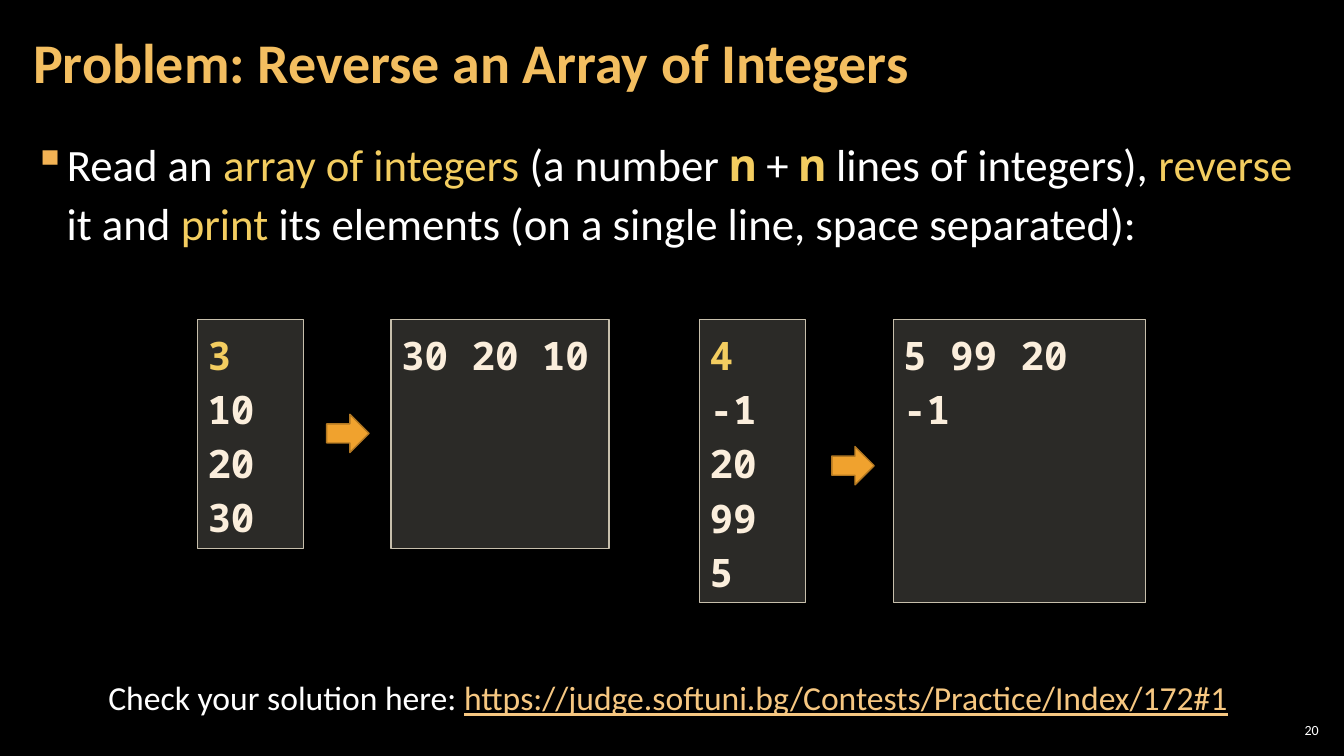
import pptx
import pptx.util
import pptx.dml.color
import pptx.enum.shapes
import pptx.enum.text
import lxml.etree

WHITE, GOLD, CREAM = "FFFFFF", "F3CD60", "FBEEDC"
SANS, MONO = "Calibri", "Noto Sans Mono"

PLAIN = {"size": 32, "name": SANS, "color": WHITE, "bold": False}
MARK = {**PLAIN, "color": GOLD}
CODE = {**MARK, "name": MONO, "bold": True}
HEAD = {"size": 40, "name": SANS, "color": "F3BE60", "bold": True}
NOTE = {**PLAIN, "size": 24}
LINK = {**NOTE, "color": "F6C781", "underline": True}
COUNT = {**CODE, "size": 28}
VALUE = {**COUNT, "color": CREAM}
PAGE = {**PLAIN, "size": 10}

TITLE = [("Problem: Reverse an Array of Integers", HEAD)]
TASK = [
    ("Read an ", PLAIN), ("array of integers", MARK), (" (a number ", PLAIN),
    ("n", CODE), (" + ", PLAIN), ("n", CODE),
    (" lines of integers), ", PLAIN), ("reverse", MARK), (" it and ", PLAIN),
    ("print", MARK),
    (" its elements (on a single line, space separated):", PLAIN),
]
CHECK = [
    ("Check your solution here: ", NOTE),
    ("https://judge.softuni.bg/Contests/Practice/Index/172#1", LINK),
]
# Each sample: left edge, output width, arrow corner, input lines, output
SAMPLES = [
    (1.96, 2.16, (3.24, 4.11), ["3", "10", "20", "30"], "30 20 10"),
    (6.94, 2.5, (8.25, 4.43), ["4", "-1", "20", "99", "5"], "5 99 20 -1"),
]
TOP, ROW, PAD = 3.17, 0.54, 0.11
IN_WIDTH, GAP = 1.05, 0.87

ALIGN = pptx.enum.text.PP_ALIGN
ANCHOR = pptx.enum.text.MSO_ANCHOR
SHAPE = pptx.enum.shapes.MSO_SHAPE
A = "{http://schemas.openxmlformats.org/drawingml/2006/main}"


def color(code):
    return pptx.dml.color.RGBColor.from_string(code)


def inches(box):
    return [pptx.util.Inches(part) for part in box]


def write(frame, lines, insets=(0.1, 0.05), anchor=ANCHOR.TOP, **layout):
    """Fill a frame with lines, each a list of (text, format) runs."""
    frame.word_wrap = True
    frame.vertical_anchor = anchor
    side, edge = inches(insets)
    frame.margin_left = frame.margin_right = side
    frame.margin_top = frame.margin_bottom = edge
    for index, runs in enumerate(lines):
        para = frame.add_paragraph() if index else frame.paragraphs[0]
        for key, value in {"alignment": ALIGN.LEFT, **layout}.items():
            setattr(para, key, value)
        for text, style in runs:
            run = para.add_run()
            run.text = text
            for key, value in style.items():
                if key == "color":
                    run.font.color.rgb = color(value)
                elif key == "size":
                    run.font.size = pptx.util.Pt(value)
                else:
                    setattr(run.font, key, value)


def add_text(slide, box, runs, **layout):
    frame = slide.shapes.add_textbox(*inches(box)).text_frame
    write(frame, [runs], **layout)
    return frame


def add_bullet(para, indent, sign, code):
    props = para._p.get_or_add_pPr()
    width = pptx.util.Inches(indent)
    props.set("marL", str(width))
    props.set("indent", str(-width))
    tint = lxml.etree.SubElement(props, A + "buClr")
    lxml.etree.SubElement(tint, A + "srgbClr", val=code)
    lxml.etree.SubElement(props, A + "buChar", char=sign)


def add_shape(slide, kind, box, fill, line):
    shape = slide.shapes.add_shape(kind, *inches(box))
    shape.shadow.inherit = False
    shape.fill.solid()
    shape.fill.fore_color.rgb = color(fill)
    shape.line.color.rgb = color(line)
    shape.line.width = pptx.util.Pt(1)
    return shape


def add_panel(slide, box, lines):
    """Draw a box with a 20 % opaque fill and lines of code."""
    shape = add_shape(slide, SHAPE.RECTANGLE, box, "D9D5C7", "C7BFAC")
    tint = shape._element.spPr.find(A + "solidFill/" + A + "srgbClr")
    lxml.etree.SubElement(tint, A + "alpha", val="20000")
    write(shape.text_frame, lines, line_spacing=1.15)


def add_sample(slide, left, width, corner, numbers, output):
    height = PAD + ROW * len(numbers)
    first, *rest = numbers
    lines = [[(first, COUNT)]] + [[(text, VALUE)] for text in rest]
    add_panel(slide, (left, TOP, IN_WIDTH, height), lines)
    right = left + IN_WIDTH + GAP
    add_panel(slide, (right, TOP, width, height), [[(output, VALUE)]])
    add_shape(slide, SHAPE.RIGHT_ARROW, (*corner, 0.42, 0.38),
              "F0A22E", "B27822")


def main():
    deck = pptx.Presentation()
    deck.slide_width, deck.slide_height = inches((13.33, 7.5))
    slide = deck.slides.add_slide(deck.slide_layouts[6])
    slide.background.fill.solid()
    slide.background.fill.fore_color.rgb = color("000000")

    add_text(slide, (12.65, 7.14, 0.47, 0.21), [("20", PAGE)],
             insets=(0.04, 0.04), anchor=ANCHOR.MIDDLE, alignment=ALIGN.RIGHT)
    task = add_text(slide, (0.21, 1.26, 12.91, 6.09), TASK,
                    insets=(0.12, 0.04), line_spacing=1.1,
                    space_after=pptx.util.Pt(6))
    add_bullet(task.paragraphs[0], 0.33, "▪", "F2B254")
    add_text(slide, (0.21, 0.04, 10.47, 1.21), TITLE, insets=(0.12, 0.04),
             anchor=ANCHOR.MIDDLE, line_spacing=0.9)
    add_text(slide, (0.85, 6.67, 11.55, 0.5), CHECK, alignment=ALIGN.CENTER)
    for sample in SAMPLES:
        add_sample(slide, *sample)
    deck.save("out.pptx")


if __name__ == "__main__":
    main()
